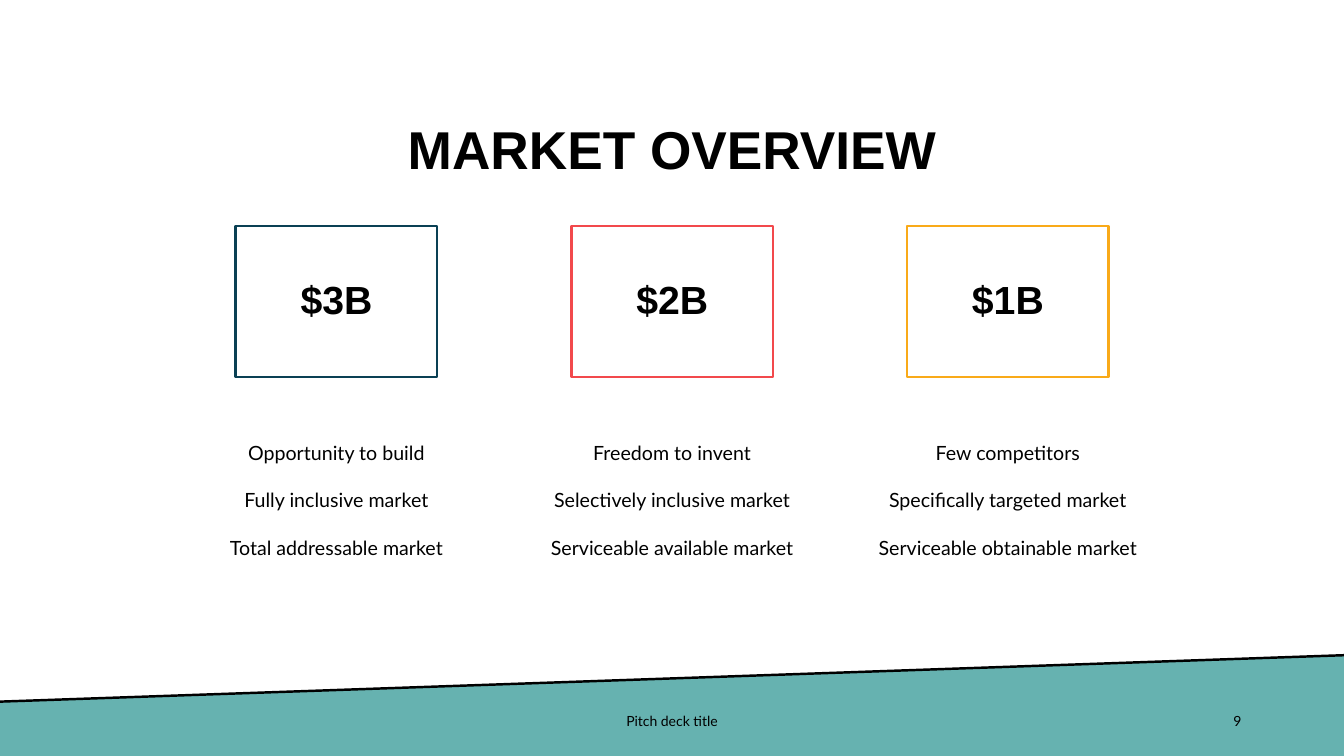
from pptx import Presentation
from pptx.dml.color import RGBColor
from pptx.enum.shapes import MSO_CONNECTOR, MSO_SHAPE
from pptx.enum.text import MSO_ANCHOR, MSO_AUTO_SIZE, PP_ALIGN
from pptx.oxml.ns import qn
from pptx.util import Cm, Pt
from lxml import etree

CENTER, RIGHT = PP_ALIGN.CENTER, PP_ALIGN.RIGHT
TOP, MIDDLE, BOTTOM = MSO_ANCHOR.TOP, MSO_ANCHOR.MIDDLE, MSO_ANCHOR.BOTTOM
RECTANGLE, STRAIGHT = MSO_SHAPE.RECTANGLE, MSO_CONNECTOR.STRAIGHT
NO_AUTOFIT = MSO_AUTO_SIZE.NONE
TITLE_ONLY = 5

WIDTH, HEIGHT = 33.87, 19.05
COLORS = {
    "text": "000000",
    "band": "66B2B0",
    "navy": "0A4054",
    "red": "F2494C",
    "amber": "F9AA19",
}
MARKETS = [
    ("$3B", "navy", ["Opportunity to build", "Fully inclusive market",
                     "Total addressable market"]),
    ("$2B", "red", ["Freedom to invent", "Selectively inclusive market",
                    "Serviceable available market"]),
    ("$1B", "amber", ["Few competitors", "Specifically targeted market",
                      "Serviceable obtainable market"]),
]


def rgb(name):
    """Return the named palette colour."""
    return RGBColor.from_string(COLORS[name])


def write(sp, lines, font, size, bold=False, align=CENTER, anchor=MIDDLE,
          spacing=None, gap=0):
    """Fill a shape with evenly formatted paragraphs."""
    tf = sp.text_frame
    tf.word_wrap = True
    tf.auto_size = NO_AUTOFIT
    tf.vertical_anchor = anchor
    for i, line in enumerate(lines):
        p = tf.add_paragraph() if i else tf.paragraphs[0]
        p.text = line
        p.alignment = align
        p.line_spacing = spacing
        p.space_before = Pt(gap if i else 0)
        p.font.name = font
        p.font.size = Pt(size)
        p.font.bold = bold
        p.font.color.rgb = rgb("text")


def add_text(s, box, lines, **style):
    """Add a Lato text box in the given box."""
    sp = s.shapes.add_textbox(*map(Cm, box))
    write(sp, lines, "Lato", **style)


def add_title(s, box, text):
    """Place and format the title placeholder."""
    sp = s.shapes.title
    sp.left, sp.top, sp.width, sp.height = map(Cm, box)
    write(sp, [text], "Arial", 38, bold=True, anchor=BOTTOM, spacing=0.9)


def add_market(s, box, amount, color, lines):
    """Add an outlined amount centred above its list of points."""
    left, top, width, height = box
    card_w, card_h, list_h = 5.08, 3.81, 4.45
    sp = s.shapes.add_shape(RECTANGLE, Cm(left + (width - card_w) / 2),
                            Cm(top), Cm(card_w), Cm(card_h))
    sp.shadow.inherit = False
    sp.fill.background()
    sp.line.color.rgb = rgb(color)
    sp.line.width = Pt(1.75)
    write(sp, [amount], "Arial", 28, bold=True, spacing=0.9)
    add_text(s, (left, top + height - list_h, width, list_h), lines,
             size=14, anchor=TOP, spacing=Pt(24), gap=10)


def add_footer(s, box, text, number):
    """Add the slanted band with its edge, footer text and slide number."""
    left, top, width, height = box
    right, bottom, edge = left + width, top + height, top + 1.17
    builder = s.shapes.build_freeform(Cm(left), Cm(edge))
    builder.add_line_segments([(Cm(right), Cm(top)), (Cm(right), Cm(bottom)),
                               (Cm(left), Cm(bottom))])
    band = builder.convert_to_shape()
    band.shadow.inherit = False
    band.fill.solid()
    band.fill.fore_color.rgb = rgb("band")
    band.line.fill.background()

    line = s.shapes.add_connector(STRAIGHT, Cm(right), Cm(top),
                                  Cm(left), Cm(edge))
    line.line.color.rgb = rgb("text")
    line.line.width = Pt(1.75)
    etree.SubElement(line._element.spPr, qn("a:effectLst"))

    text_top = top + 1.14
    add_text(s, (left + (width - 11.43) / 2, text_top, 11.43, 1.02), [text],
             size=10)
    add_text(s, (right - 9.95, text_top, 7.62, 1.02), [number],
             size=10, align=RIGHT)


def main():
    """Build the market overview slide."""
    prs = Presentation()
    prs.slide_width, prs.slide_height = Cm(WIDTH), Cm(HEIGHT)
    s = prs.slides.add_slide(prs.slide_layouts[TITLE_ONLY])
    add_footer(s, (0, 16.51, WIDTH, HEIGHT - 16.51), "Pitch deck title", "9")
    add_title(s, (2.33, 1.02, 29.21, 3.68), "MARKET OVERVIEW")
    for i, market in enumerate(MARKETS):
        add_market(s, (4.67 + i * 8.46, 5.69, 7.62, 9.48), *market)
    prs.save("out.pptx")


if __name__ == "__main__":
    main()
